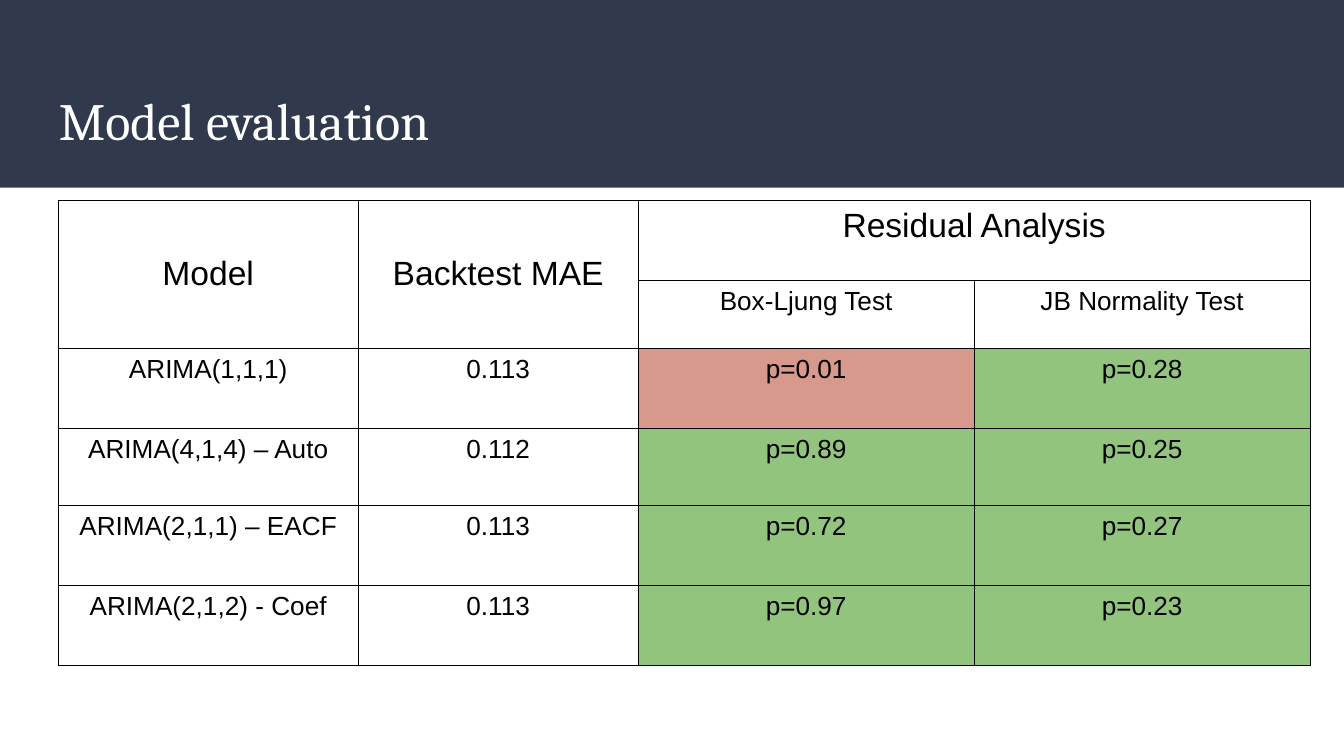
"""Build the model evaluation slide with its table of test results."""
from lxml import etree
from pptx import Presentation
from pptx.dml.color import RGBColor
from pptx.enum.shapes import MSO_SHAPE
from pptx.enum.text import MSO_ANCHOR, PP_ALIGN
from pptx.oxml import parse_xml
from pptx.oxml.ns import nsdecls
from pptx.util import Pt

RECTANGLE = MSO_SHAPE.RECTANGLE
TOP, MIDDLE = MSO_ANCHOR.TOP, MSO_ANCHOR.MIDDLE
CENTER = PP_ALIGN.CENTER
COLORS = {"band": "31394D", "title": "FFFFFF", "text": "000000",
          "border": "000000", "pass": "93C47D", "fail": "D6998B"}
INSET = Pt(7.2)
SIGNIFICANCE = 0.05


def style_text(frame, size, font, color):
    frame.margin_left = frame.margin_right = INSET
    frame.margin_top = frame.margin_bottom = INSET
    for run in frame.paragraphs[0].runs:
        run.font.size = Pt(size)
        run.font.name = font
        run.font.color.rgb = RGBColor.from_string(COLORS[color])


def add_borders(cell):
    properties = cell._tc.get_or_add_tcPr()
    for side in ("lnL", "lnR", "lnT", "lnB"):
        line = parse_xml(f'<a:{side} {nsdecls("a")} w="{Pt(0.5)}"/>')
        solid = etree.SubElement(line, "{%s}solidFill" % line.nsmap["a"])
        etree.SubElement(solid, "{%s}srgbClr" % line.nsmap["a"], val=COLORS["border"])
        properties.append(line)


prs = Presentation()
prs.slide_width, prs.slide_height = Pt(720), Pt(405)
slide = prs.slides.add_slide(prs.slide_layouts[6])

band = slide.shapes.add_shape(RECTANGLE, 0, 0, Pt(720), Pt(100.5))
band.shadow.inherit = False
band.fill.solid()
band.fill.fore_color.rgb = RGBColor.from_string(COLORS["band"])
band.line.fill.background()

title = slide.shapes.add_textbox(Pt(24.5), Pt(39.6), Pt(671), Pt(49)).text_frame
title.word_wrap = True
title.vertical_anchor = MIDDLE
title.text = "Model evaluation"
style_text(title, 28, "Cambria", "title")

headings = [
    ("Model", "Backtest MAE", "Residual Analysis", ""),
    ("", "", "Box-Ljung Test", "JB Normality Test"),
]
results = [
    ("ARIMA(1,1,1)", 0.113, 0.01, 0.28),
    ("ARIMA(4,1,4) – Auto", 0.112, 0.89, 0.25),
    ("ARIMA(2,1,1) – EACF", 0.113, 0.72, 0.27),
    ("ARIMA(2,1,2) - Coef", 0.113, 0.97, 0.23),
]
rows = headings + [(model, f"{mae:.3f}", f"p={ljung:.2f}", f"p={jb:.2f}")
                   for model, mae, ljung, jb in results]
widths = [160.7, 150, 180, 180]
heights = [42.9, 36.4, 42.9, 41.3, 42.9, 42.9]

evaluation = slide.shapes.add_table(len(rows), len(widths), Pt(31.2), Pt(107.3),
                                    Pt(sum(widths)), Pt(sum(heights))).table
evaluation.first_row = evaluation.horz_banding = False
for column, width in zip(evaluation.columns, widths):
    column.width = Pt(width)
for row, height in zip(evaluation.rows, heights):
    row.height = Pt(height)

for r, texts in enumerate(rows):
    for c, text in enumerate(texts):
        cell = evaluation.cell(r, c)
        cell.text = text
        cell.text_frame.paragraphs[0].alignment = CENTER
        style_text(cell.text_frame, 18 if r == 0 else 14, "Arial", "text")
        cell.vertical_anchor = MIDDLE if r == 0 and c < 2 else TOP
        add_borders(cell)
        if r >= len(headings) and c >= 2:
            verdict = "pass" if results[r - len(headings)][c] > SIGNIFICANCE else "fail"
            cell.fill.solid()
            cell.fill.fore_color.rgb = RGBColor.from_string(COLORS[verdict])
        else:
            cell.fill.background()

for first, last in (((0, 0), (1, 0)), ((0, 1), (1, 1)), ((0, 2), (0, 3))):
    evaluation.cell(*first).merge(evaluation.cell(*last))

prs.save("out.pptx")
